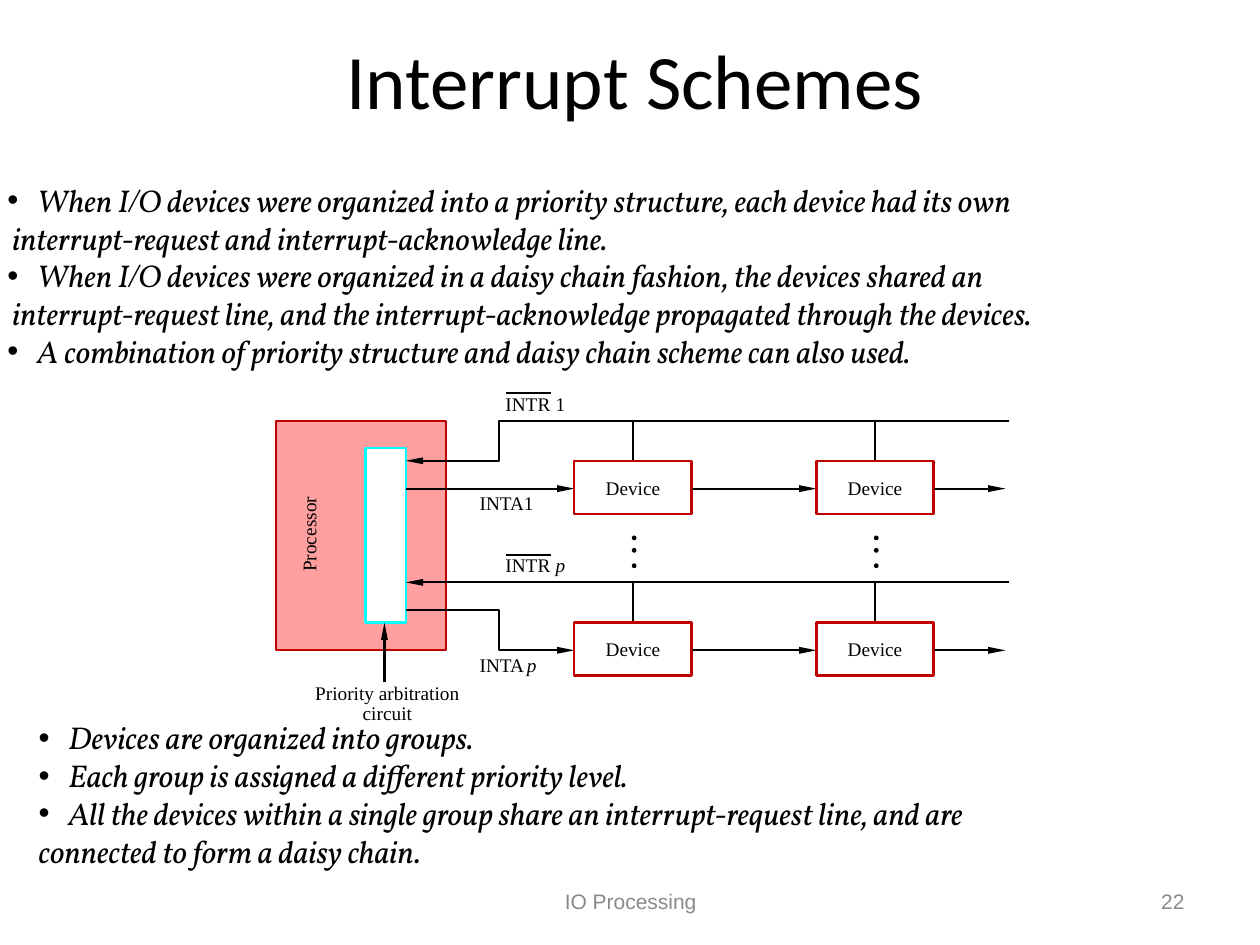
from lxml import etree
from pptx import Presentation
from pptx.dml.color import RGBColor
from pptx.enum import shapes, text
from pptx.oxml import ns
from pptx.util import Cm, Pt

BLACK, RED, CYAN, GREY = "000000", "C00000", "00FFFF", "898989"
SERIF, BODY = "Times New Roman", "Vollkorn"
LEFT, CENTER, RIGHT = text.PP_ALIGN.LEFT, text.PP_ALIGN.CENTER, text.PP_ALIGN.RIGHT

BULLET_INDENT = 0.6
NOTES = [
    ((-0.1, 3.52, 26.09, 4.06), 0.1, [
        (True, "When I/O devices were organized into a priority structure, each device had its own"),
        (False, "interrupt-request and interrupt-acknowledge line."),
        (True, "When I/O devices were organized in a daisy chain fashion, the devices shared an"),
        (False, "interrupt-request line, and the interrupt-acknowledge propagated through the devices."),
        (True, "A combination of priority structure and daisy chain scheme can also used."),
    ]),
    ((0.53, 14.36, 23.34, 3.3), 0, [
        (True, "Devices are organized into groups."),
        (True, "Each group is assigned a different priority level."),
        (True, "All the devices within a single group share an interrupt-request line, and are"),
        (False, "connected to form a daisy chain."),
    ]),
]
HEADINGS = [
    ("Interrupt Schemes", (1.27, 0, 23.06, 3.18), "Calibri", 44, BLACK, CENTER),
    ("IO Processing", (8.69, 17.65, 8.05, 1.02), "Arial", 12, GREY, CENTER),
    ("22", (18.21, 17.65, 5.92, 1.02), "Arial", 12, GREY, RIGHT),
]

PROCESSOR = (5.56, 8.48, 3.43, 4.62)
ARBITER = (7.37, 9.04, 0.81, 3.51)
PORT = ARBITER[0] + ARBITER[2]
BEND, BUS_END, CHAIN_END = 10.06, 20.35, 20.27
DEVICE_W, DEVICE_H, DROP = 2.36, 1.07, 0.81
CENTERS = [12.76, 17.64]
DOTS = [10.82, 11.07, 11.38]
MIDDLE = 1.37
FIRST = CENTERS[0] - DEVICE_W / 2
GROUPS = [
    {"bus": 8.48, "suffix": "1", "italic": False, "ack_x": 10.56,
     "request": [(BUS_END, 0), (BEND, 0), (BEND, DROP), (PORT, DROP)],
     "acknowledge": [(PORT, MIDDLE), (FIRST, MIDDLE)]},
    {"bus": 11.74, "suffix": "p", "italic": True, "ack_x": 10.62,
     "request": [(BUS_END, 0), (PORT, 0)],
     "acknowledge": [(PORT, 0.56), (BEND, 0.56), (BEND, MIDDLE), (FIRST, MIDDLE)]},
]

deck = Presentation()
deck.slide_width, deck.slide_height = Cm(25.4), Cm(19.05)
page = deck.slides.add_slide(deck.slide_layouts[6])


def color(value):
    return RGBColor.from_string(value)


def style(font, name, size, value=BLACK, italic=False):
    font.name, font.size, font.italic = name, Pt(size), italic
    font.color.rgb = color(value)


def add_box(place):
    box = page.shapes.add_textbox(*map(Cm, place))
    box.text_frame.word_wrap = True
    return box


def add_heading(words, place, name, size, value, align):
    frame = add_box(place).text_frame
    frame.vertical_anchor = text.MSO_ANCHOR.MIDDLE
    para = frame.paragraphs[0]
    para.text, para.alignment = words, align
    style(para.font, name, size, value)


def add_notes(place, margin, lines):
    frame = add_box(place).text_frame
    for number, (bulleted, words) in enumerate(lines):
        para = frame.add_paragraph() if number else frame.paragraphs[0]
        para.text = words
        props = para._p.get_or_add_pPr()
        props.set("marL", str(Cm(BULLET_INDENT if bulleted else margin)))
        props.set("indent", str(Cm(-BULLET_INDENT if bulleted else 0)))
        if bulleted:
            etree.SubElement(props, ns.qn("a:buFont")).set("typeface", "Arial")
            etree.SubElement(props, ns.qn("a:buChar")).set("char", "•")
        style(para.font, BODY, 18, italic=True)


def add_label(words, left, top, width, align=LEFT, italic=False):
    box = add_box((left, top, width, 0.46))
    frame = box.text_frame
    frame.margin_left = frame.margin_right = frame.margin_top = frame.margin_bottom = 0
    para = frame.paragraphs[0]
    para.text, para.alignment = words, align
    style(para.font, SERIF, 11, italic=italic)
    return box


def add_block(place, line, fill=None, kind=shapes.MSO_SHAPE.RECTANGLE):
    block = page.shapes.add_shape(kind, *map(Cm, place))
    block.shadow.inherit = False
    if fill:
        block.fill.solid()
        block.fill.fore_color.rgb = color(fill)
    else:
        block.fill.background()
    block.line.color.rgb, block.line.width = color(line), Pt(1.25)
    return block


def add_wire(points, arrow=False):
    spots = [(Cm(x), Cm(y)) for x, y in points]
    if len(spots) == 2:
        wire = page.shapes.add_connector(shapes.MSO_CONNECTOR.STRAIGHT, *spots[0], *spots[1])
    else:
        builder = page.shapes.build_freeform(*spots[0])
        builder.add_line_segments(spots[1:], close=False)
        wire = builder.convert_to_shape()
        wire.fill.background()
    wire.line.color.rgb, wire.line.width = color(BLACK), Pt(1.25)
    if arrow:
        head = etree.SubElement(wire.line._get_or_add_ln(), ns.qn("a:tailEnd"))
        for key, value in (("type", "triangle"), ("w", "sm"), ("len", "lg")):
            head.set(key, value)
    etree.SubElement(wire._element.spPr, ns.qn("a:effectLst"))


def add_device(center, bus):
    top = bus + DROP
    add_wire([(center, bus), (center, top)])
    device = add_block((center - DEVICE_W / 2, top, DEVICE_W, DEVICE_H), RED)
    frame = device.text_frame
    frame.vertical_anchor = text.MSO_ANCHOR.MIDDLE
    para = frame.paragraphs[0]
    para.text, para.alignment = "Device", CENTER
    style(para.font, SERIF, 11)


def add_group(group):
    bus = group["bus"]
    for route in ("request", "acknowledge"):
        add_wire([(x, bus + y) for x, y in group[route]], arrow=True)
    for center, end in zip(CENTERS, [CENTERS[1] - DEVICE_W / 2, CHAIN_END]):
        add_device(center, bus)
        add_wire([(center + DEVICE_W / 2, bus + MIDDLE), (end, bus + MIDDLE)], arrow=True)
    add_wire([(10.21, bus - 0.55), (11.1, bus - 0.55)])
    add_label("INTR", 10.19, bus - 0.58, 1.1)
    add_label(group["suffix"], 11.2, bus - 0.58, 0.4, italic=group["italic"])
    add_label("INTA", 9.67, bus + 1.42, 1.1)
    add_label(group["suffix"], group["ack_x"], bus + 1.42, 0.4, italic=group["italic"])


for heading in HEADINGS:
    add_heading(*heading)
for note in NOTES:
    add_notes(*note)

add_block(PROCESSOR, RED, "FF9F9F")
add_block(ARBITER, CYAN, "FFFFFF")
add_label("Processor", 5.22, 10.54, 2, CENTER).rotation = 270
add_wire([(7.75, 13.74), (7.75, ARBITER[1] + ARBITER[3])], arrow=True)
add_label("Priority arbitration", 6.01, 13.74, 3.6, CENTER)
add_label("circuit", 7.01, 14.13, 1.6, CENTER)

for group in GROUPS:
    add_group(group)
for center in CENTERS:
    for y in DOTS:
        add_block((center, y, 0.05, 0.05), BLACK, BLACK, shapes.MSO_SHAPE.OVAL)

deck.save("out.pptx")
